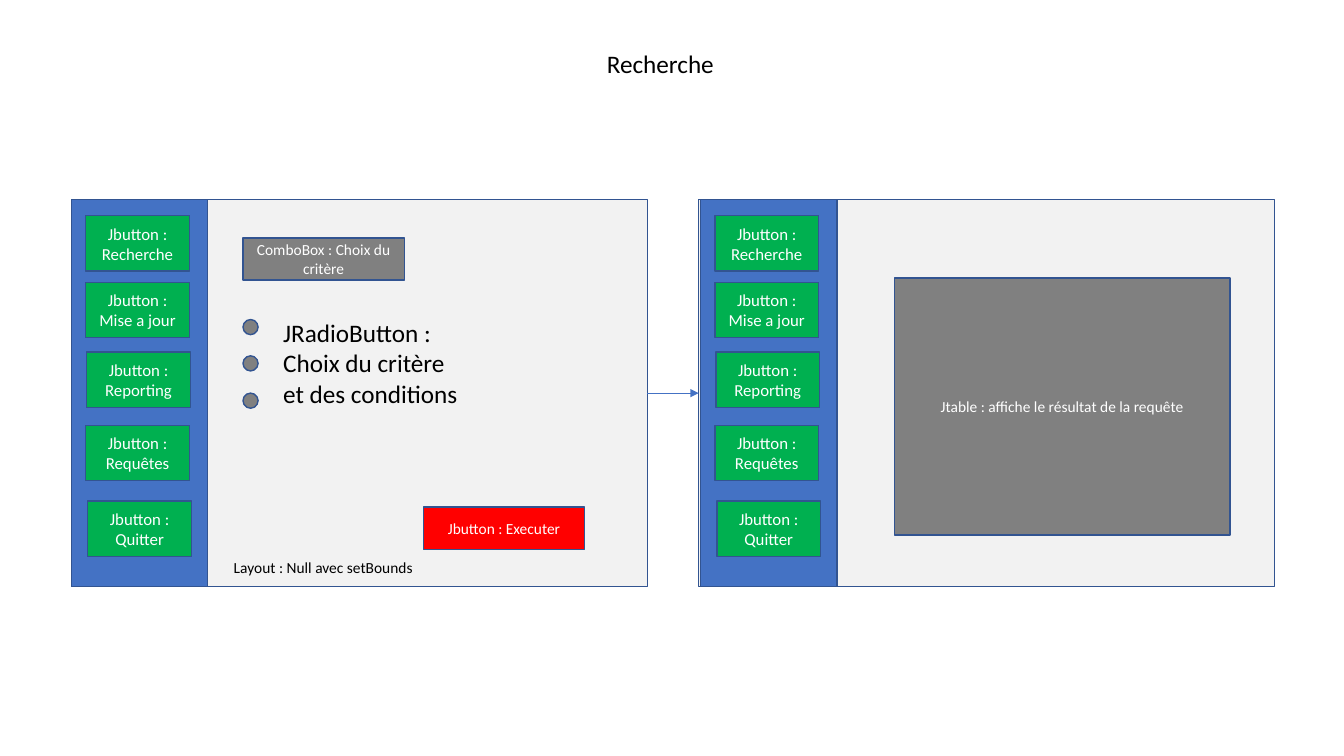
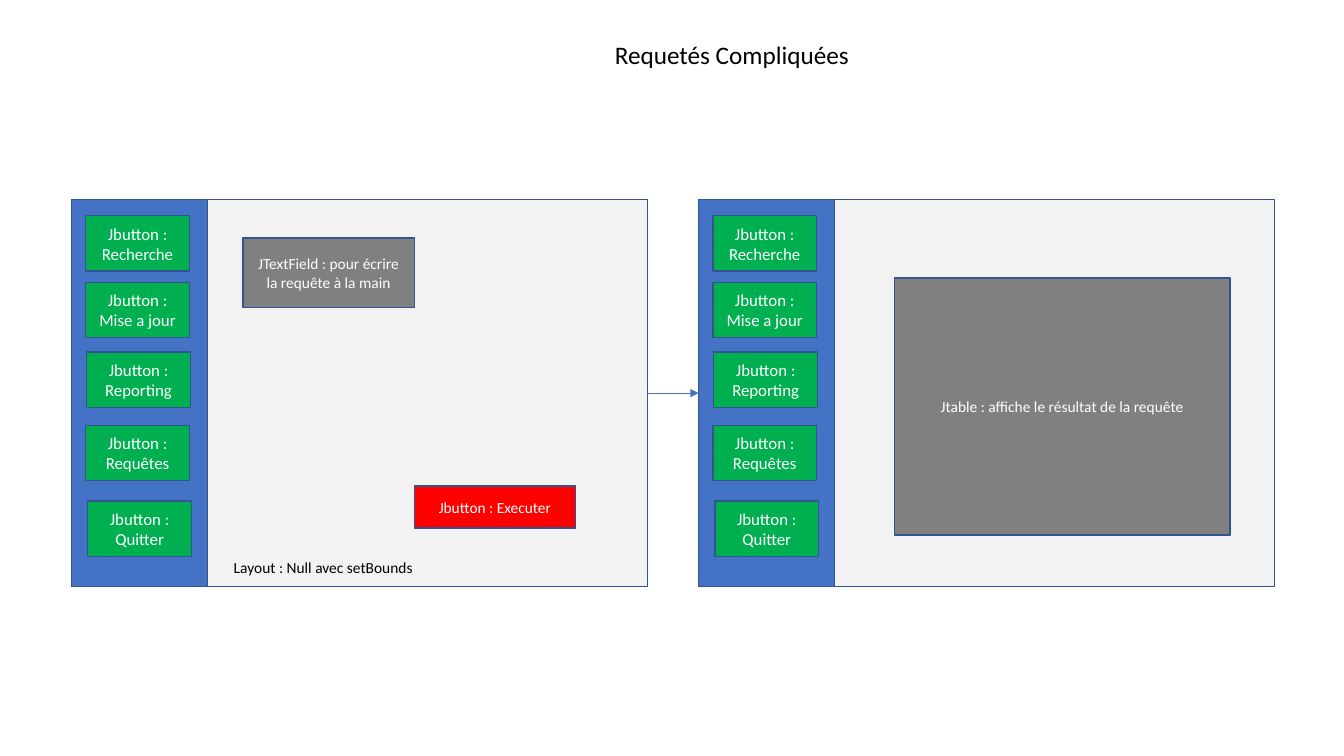
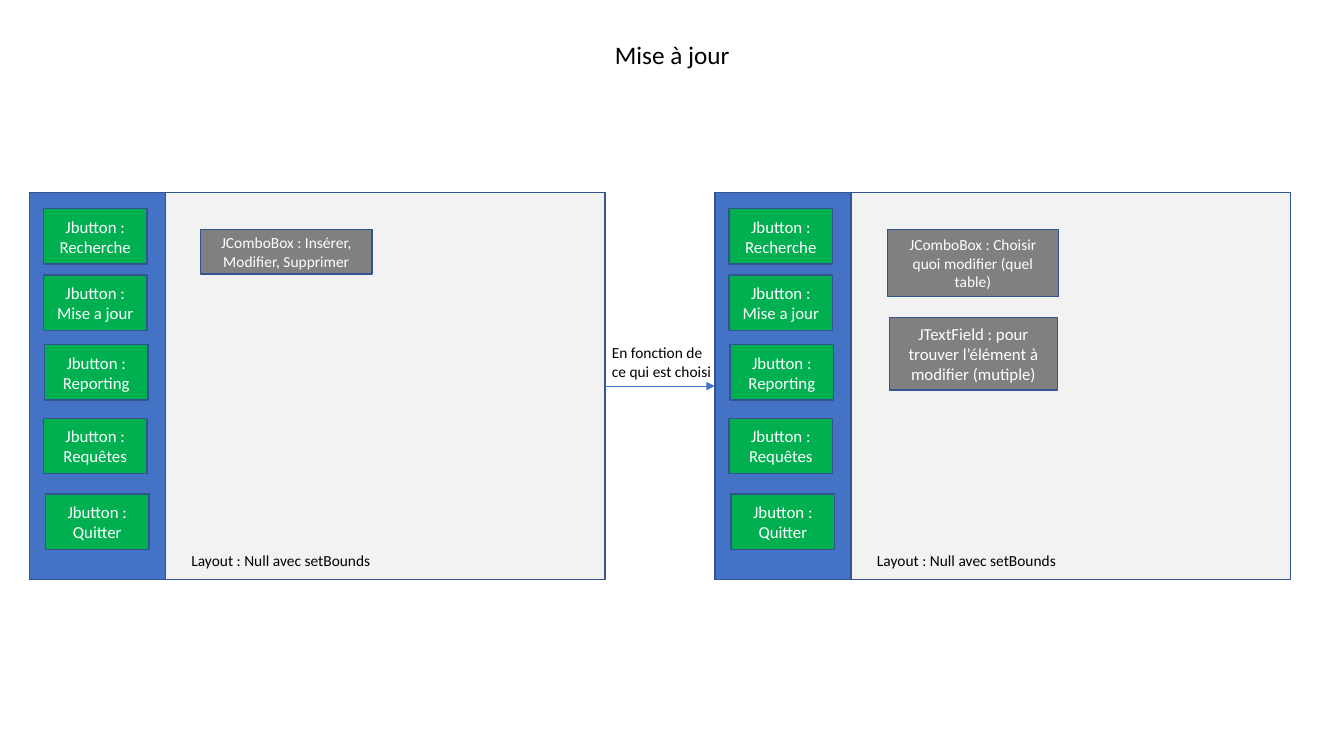
from lxml import etree
from pptx import Presentation
from pptx.dml.color import RGBColor
from pptx.enum.shapes import MSO_CONNECTOR, MSO_SHAPE
from pptx.enum.text import MSO_ANCHOR, MSO_AUTO_SIZE, PP_ALIGN
from pptx.oxml.ns import qn
from pptx.util import Inches, Pt

FONT = "Calibri"
BLACK = RGBColor(0x00, 0x00, 0x00)
WHITE = RGBColor(0xFF, 0xFF, 0xFF)
PANEL = RGBColor(0xF2, 0xF2, 0xF2)
BLUE = RGBColor(0x44, 0x72, 0xC4)
OUTLINE = RGBColor(0x32, 0x54, 0x91)
GREEN = RGBColor(0x00, 0xB0, 0x50)
GREY = RGBColor(0x80, 0x80, 0x80)
RED = RGBColor(0xFF, 0x00, 0x00)

WINDOW_W, WINDOW_H, SIDEBAR_W = 5.71, 3.84, 1.35

# Menu buttons: name, offset from the sidebar's top left corner
MENU = [
    ("Recherche", 0.14, 0.16),
    ("Mise a jour", 0.14, 0.82),
    ("Reporting", 0.15, 1.51),
    ("Requêtes", 0.14, 2.24),
    ("Quitter", 0.16, 2.99),
]

# Title, its left, top and width, window top, window lefts, sidebar lefts, windows with a note
SCREENS = [
    ("Recherche", 5.92, 0.43, 1.28, 1.98, (0.71, 6.93), (0.71, 6.95), 1),
    ("Requetés Compliquées", 6, 0.34, 2.55, 1.98, (0.71, 6.93), (0.71, 6.93), 1),
    ("Mise à jour", 6, 0.34, 1.35, 1.91, (0.29, 7.09), (0.29, 7.09), 2),
]


def box(s, left, top, width, height, fill, text="", size=11, kind=MSO_SHAPE.RECTANGLE):
    """Add an outlined shape with centred white text."""
    sp = s.shapes.add_shape(kind, Inches(left), Inches(top), Inches(width), Inches(height))
    sp.shadow.inherit = False
    sp.fill.solid()
    sp.fill.fore_color.rgb = fill
    sp.line.color.rgb = OUTLINE
    sp.line.width = Pt(1)
    if text:
        tf = sp.text_frame
        tf.text = text
        tf.vertical_anchor = MSO_ANCHOR.MIDDLE
        p = tf.paragraphs[0]
        p.alignment = PP_ALIGN.CENTER
        p.font.name, p.font.size = FONT, Pt(size)
        p.font.color.rgb = WHITE
    return sp


def label(s, left, top, width, height, text, size=11):
    """Add unwrapped black text, one paragraph a line."""
    tb = s.shapes.add_textbox(Inches(left), Inches(top), Inches(width), Inches(height))
    tf = tb.text_frame
    tf.word_wrap = False
    tf.auto_size = MSO_AUTO_SIZE.SHAPE_TO_FIT_TEXT
    tf.text = text
    for p in tf.paragraphs:
        p.font.name, p.font.size = FONT, Pt(size)
        p.font.color.rgb = BLACK


prs = Presentation()
prs.slide_width, prs.slide_height = Inches(13.33), Inches(7.5)

# Shared frame: title, two windows with their menus, arrow between them
slides = []
for title, title_x, title_y, title_w, top, windows, sidebars, notes in SCREENS:
    s = prs.slides.add_slide(prs.slide_layouts[6])
    slides.append(s)
    label(s, title_x, title_y, title_w, 0.4, title, 18)

    source, target = [box(s, x, top, WINDOW_W, WINDOW_H, PANEL) for x in windows]
    for x in sidebars:
        box(s, x, top, SIDEBAR_W, WINDOW_H, BLUE)
        for name, dx, dy in MENU:
            box(s, x + dx, top + dy, 1.03, 0.55, GREEN, f"Jbutton : {name}", 12)
    for x in windows[:notes]:
        label(s, x + 1.51, top + 3.51, 2, 0.29, "Layout : Null avec setBounds")

    arrow = s.shapes.add_connector(MSO_CONNECTOR.STRAIGHT, 0, 0, 0, 0)
    arrow.begin_connect(source, 3)
    arrow.end_connect(target, 1)
    arrow.line.color.rgb = BLUE
    arrow.line.width = Pt(0.5)
    etree.SubElement(arrow.line._get_or_add_ln(), qn("a:tailEnd"), type="triangle")
    etree.SubElement(arrow._element.spPr, qn("a:effectLst"))

search, queries, update = slides

# Result table of the two query screens
for s in (search, queries):
    box(s, 8.87, 2.76, 3.33, 2.55, GREY, "Jtable : affiche le résultat de la requête")

# Search
box(search, 2.41, 2.36, 1.6, 0.42, GREY, "ComboBox : Choix du critère")
for y in (3.17, 3.53, 3.9):
    box(search, 2.41, y, 0.15, 0.15, GREY, kind=MSO_SHAPE.OVAL)
label(search, 2.71, 3.1, 1.95, 1.01,
      "JRadioButton :\nChoix du critère\net des conditions", 18)
box(search, 4.2, 5.03, 1.6, 0.42, RED, "Jbutton : Executer")

# Complex queries
box(queries, 2.41, 2.36, 1.7, 0.69, GREY, "JTextField : pour écrire la requête à la main")
box(queries, 4.11, 4.82, 1.6, 0.42, RED, "Jbutton : Executer")

# Update: the boxes on the right are tall enough for three lines
box(update, 1.99, 2.28, 1.7, 0.44, GREY, "JComboBox : Insérer, Modifier, Supprimer")
box(update, 8.8, 2.28, 1.7, 0.66, GREY, "JComboBox : Choisir quoi modifier (quel table)")
box(update, 8.82, 3.15, 1.67, 0.72, GREY,
    "JTextField : pour trouver l’élément à modifier (mutiple)", 12)
label(update, 5.97, 3.36, 1.22, 0.47, "En fonction de\nce qui est choisi")

prs.save("out.pptx")
